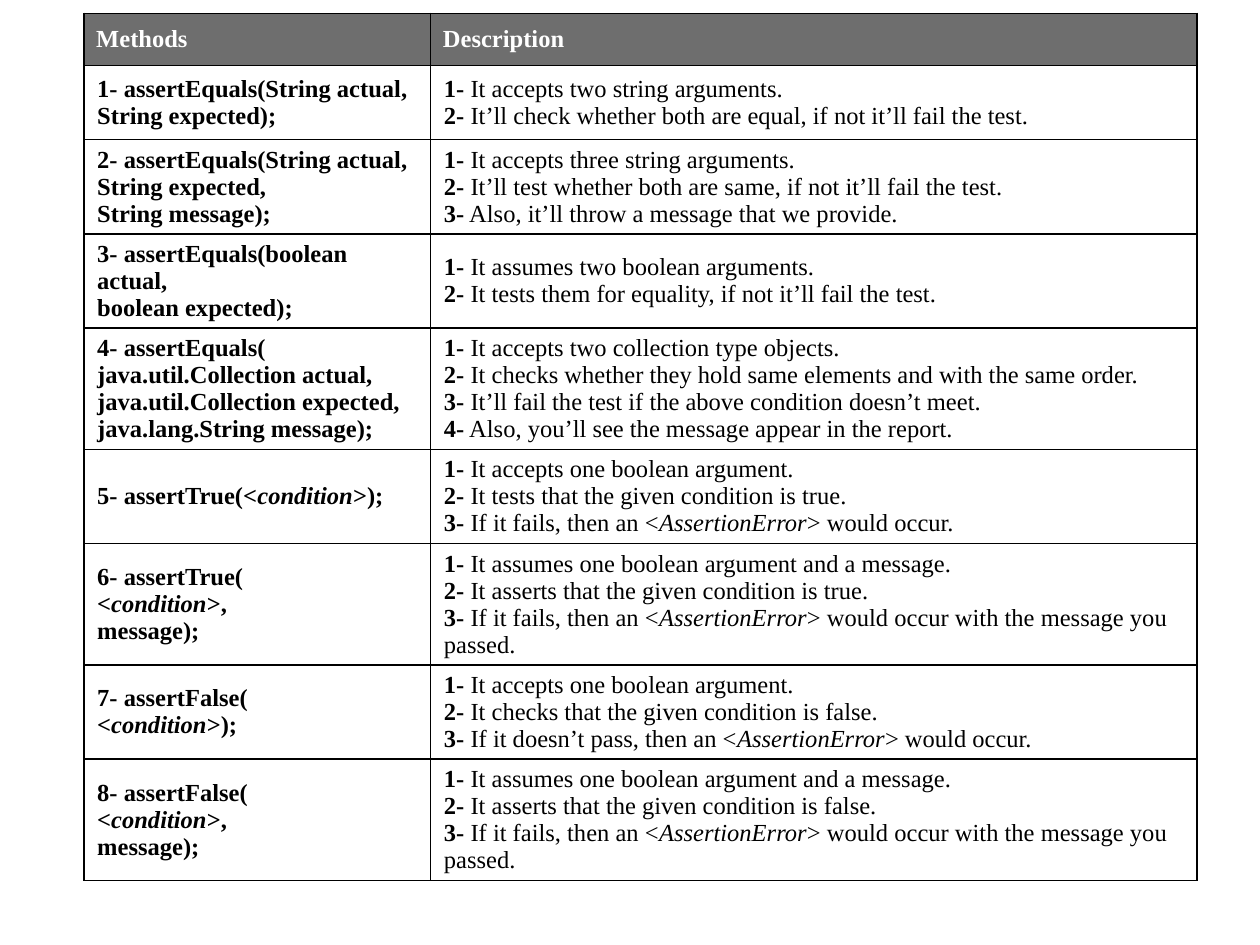
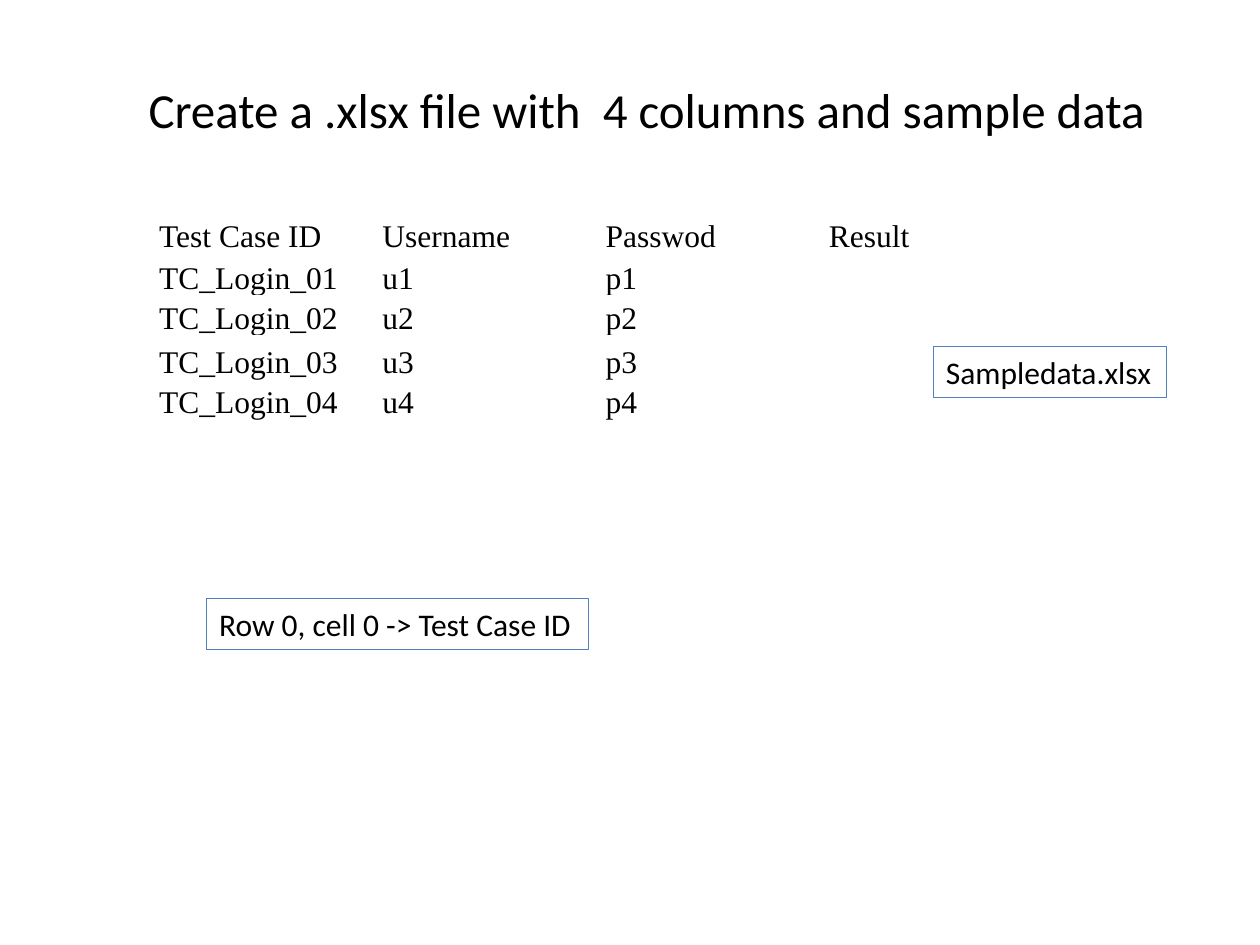
from lxml.etree import SubElement
from pptx import Presentation
from pptx.dml.color import RGBColor
from pptx.enum.shapes import MSO_SHAPE
from pptx.enum.text import MSO_ANCHOR, MSO_AUTO_SIZE, PP_ALIGN
from pptx.oxml.ns import qn
from pptx.util import Cm, Pt

BLACK = RGBColor(0x00, 0x00, 0x00)
WHITE = RGBColor(0xFF, 0xFF, 0xFF)
GRAY = RGBColor(0x6E, 0x6E, 0x6E)
BLUE = RGBColor(0x4F, 0x81, 0xBD)
SERIF = "Times New Roman"
SANS = "Calibri"


def add_text(p, text, font, size, color=BLACK, bold=False):
    for i, part in enumerate(text.split("*")):
        r = p.add_run()
        r.text = part
        r.font.name = font
        r.font.size = Pt(size)
        r.font.color.rgb = color
        r.font.bold = bold
        r.font.italic = i % 2 == 1


def format_cell(cell, anchor, side, top, bottom):
    cell.vertical_anchor = anchor
    cell.margin_left = cell.margin_right = Cm(side)
    cell.margin_top = Cm(top)
    cell.margin_bottom = Cm(bottom)


prs = Presentation()
prs.slide_width = Cm(25.4)
prs.slide_height = Cm(19.05)

methods = [
    (["assertEquals(String actual,", "String expected);"],
     ["It accepts two string arguments.",
      "It’ll check whether both are equal, if not it’ll fail the test."]),
    (["assertEquals(String actual,", "String expected,", "String message);"],
     ["It accepts three string arguments.",
      "It’ll test whether both are same, if not it’ll fail the test.",
      "Also, it’ll throw a message that we provide."]),
    (["assertEquals(boolean actual,", "boolean expected);"],
     ["It assumes two boolean arguments.",
      "It tests them for equality, if not it’ll fail the test."]),
    (["assertEquals(", "java.util.Collection actual,",
      "java.util.Collection expected,", "java.lang.String message);"],
     ["It accepts two collection type objects.",
      "It checks whether they hold same elements and with the same order.",
      "It’ll fail the test if the above condition doesn’t meet.",
      "Also, you’ll see the message appear in the report."]),
    (["assertTrue(<*condition*>);"],
     ["It accepts one boolean argument.",
      "It tests that the given condition is true.",
      "If it fails, then an <*AssertionError*> would occur."]),
    (["assertTrue(", "<*condition*>,", "message);"],
     ["It assumes one boolean argument and a message.",
      "It asserts that the given condition is true.",
      "If it fails, then an <*AssertionError*> would occur with the message you passed."]),
    (["assertFalse(", "<*condition*>);"],
     ["It accepts one boolean argument.",
      "It checks that the given condition is false.",
      "If it doesn’t pass, then an <*AssertionError*> would occur."]),
    (["assertFalse(", "<*condition*>,", "message);"],
     ["It assumes one boolean argument and a message.",
      "It asserts that the given condition is false.",
      "If it fails, then an <*AssertionError*> would occur with the message you passed."]),
]
method_heights = [0.94, 1.5, 1.9, 1.5, 2.31, 1.5, 1.9, 1.5, 1.9]

s = prs.slides.add_slide(prs.slide_layouts[6])
table = s.shapes.add_table(len(methods) + 1, 2, Cm(1.69), Cm(0.27),
                           Cm(22.44), Cm(sum(method_heights))).table
table.columns[0].width = Cm(6.99)
table.columns[1].width = Cm(15.45)
for row, height in zip(table.rows, method_heights):
    row.height = Cm(height)

for cell in table.iter_cells():
    format_cell(cell, MSO_ANCHOR.MIDDLE, 0.27, 0.13, 0.13)
    tcPr = cell._tc.get_or_add_tcPr()
    for side in ("a:lnL", "a:lnR", "a:lnT", "a:lnB"):
        ln = SubElement(tcPr, qn(side), w=str(Pt(1)))
        fill = SubElement(ln, qn("a:solidFill"))
        SubElement(fill, qn("a:srgbClr"), val=str(BLACK))
    cell.fill.solid()
    cell.fill.fore_color.rgb = WHITE

for col, heading in enumerate(["Methods", "Description"]):
    cell = table.cell(0, col)
    format_cell(cell, MSO_ANCHOR.MIDDLE, 0.25, 0.25, 0.25)
    cell.fill.fore_color.rgb = GRAY
    add_text(cell.text_frame.paragraphs[0], heading, SERIF, 14, WHITE, True)

for n, (signature, notes) in enumerate(methods, 1):
    p = table.cell(n, 0).text_frame.paragraphs[0]
    add_text(p, f"{n}- {signature[0]}", SERIF, 14, bold=True)
    for line in signature[1:]:
        p.add_line_break()
        add_text(p, line, SERIF, 14, bold=True)
    p = table.cell(n, 1).text_frame.paragraphs[0]
    for k, note in enumerate(notes, 1):
        if k > 1:
            p.add_line_break()
        add_text(p, f"{k}-", SERIF, 14, bold=True)
        add_text(p, f" {note}", SERIF, 14)

s = prs.slides.add_slide(prs.slide_layouts[5])
title = s.shapes.title
title.left, title.top, title.width, title.height = Cm(2.74), Cm(1.47), Cm(20.83), Cm(1.45)
tf = title.text_frame
tf.word_wrap = False
tf.auto_size = MSO_AUTO_SIZE.NONE
tf.vertical_anchor = MSO_ANCHOR.TOP
p = tf.paragraphs[0]
p.alignment = PP_ALIGN.LEFT
add_text(p, "Create a .xlsx file with  4 columns and sample data", SANS, 28)

logins = [["Test Case ID", "Username", "Passwod", "Result"]]
logins += [[f"TC_Login_0{n}", f"u{n}", f"p{n}", ""] for n in range(1, 5)]
login_heights = [1.07, 0.84, 0.64, 0.89, 0.43]
table = s.shapes.add_table(5, 4, Cm(3.18), Cm(4.06), Cm(18), Cm(sum(login_heights))).table
table.first_row = False
table.horz_banding = False
for column in table.columns:
    column.width = Cm(4.5)
for row, height, values in zip(table.rows, login_heights, logins):
    row.height = Cm(height)
    for cell, value in zip(row.cells, values):
        format_cell(cell, MSO_ANCHOR.BOTTOM, 0.03, 0.03, 0)
        cell.fill.background()
        if value:
            add_text(cell.text_frame.paragraphs[0], value, SERIF, 18)

labels = [
    ("Row 0, cell 0 -> Test Case ID", 4.17, 12.07, 7.7),
    ("Sampledata.xlsx", 18.82, 6.99, 4.7),
]
for text, left, top, width in labels:
    sp = s.shapes.add_shape(MSO_SHAPE.RECTANGLE, Cm(left), Cm(top), Cm(width), Cm(1.03))
    sp.shadow.inherit = False
    sp.fill.background()
    sp.line.color.rgb = BLUE
    sp.line.width = Pt(0.75)
    tf = sp.text_frame
    tf.word_wrap = False
    tf.auto_size = MSO_AUTO_SIZE.SHAPE_TO_FIT_TEXT
    tf.vertical_anchor = MSO_ANCHOR.TOP
    p = tf.paragraphs[0]
    p.alignment = PP_ALIGN.LEFT
    add_text(p, text, SANS, 18)

prs.save("out.pptx")
